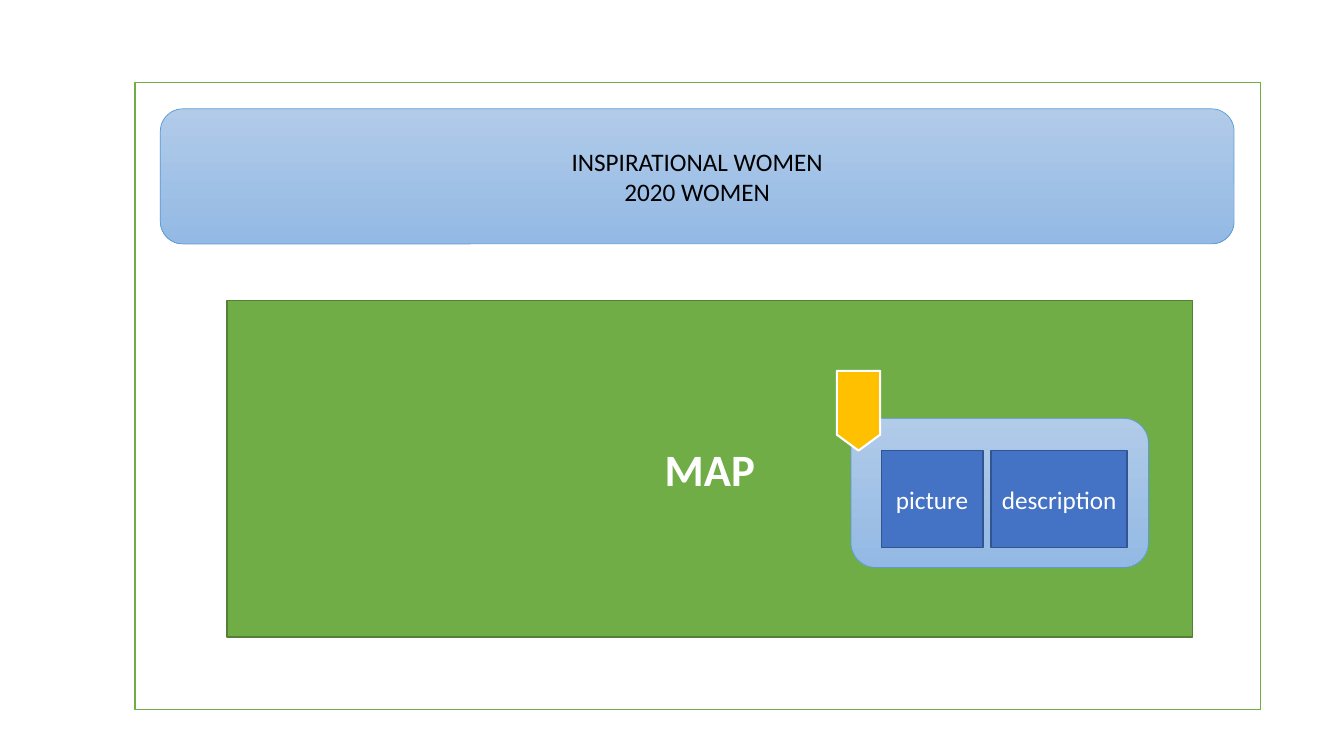
from pptx import Presentation
from pptx.dml.color import RGBColor
from pptx.enum.shapes import MSO_SHAPE as Shape
from pptx.enum.text import MSO_ANCHOR as Anchor, PP_ALIGN as Align
from pptx.util import Pt

EMU_PER_PX = 9144  # 100 px to the inch
SLIDE_SIZE = (1333, 750)
FONT = "Calibri"
COLORS = {
    "white": "FFFFFF", "black": "000000",
    "green": "70AD47", "dark green": "538035",
    "blue": "4472C4", "dark blue": "325491",
    "sky top": "B1CBE9", "sky bottom": "93B9E4", "sky edge": "5B9BD5",
    "gold": "FFC000",
}
SKY = ("sky top", "sky bottom")

TITLE_LINES = ["INSPIRATIONAL WOMEN", "2020 WOMEN"]
# Card parts: text, width
CARD_PARTS = [("picture", 101), ("description", 135)]
CARD_LEFT, CARD_TOP, CARD_HEIGHT, CARD_GAP = 874, 447, 96, 8

# Back to front: kind, (left, top, width, height), fill, line, line width, lines, text format
PANELS = [
    (Shape.RECTANGLE, (134, 82, 1116, 622), "white", "green", 1, [], {}),
    (Shape.ROUNDED_RECTANGLE, (159, 108, 1065, 134), SKY, "sky edge", 0.5,
     TITLE_LINES, {"color": "black"}),
    (Shape.RECTANGLE, (225, 298, 958, 334), "green", "dark green", 1,
     ["MAP"], {"size": 32, "bold": True}),
    (Shape.ROUNDED_RECTANGLE, (844, 415, 295, 148), SKY, "sky edge", 0.5, [], {}),
    (Shape.FLOWCHART_OFFPAGE_CONNECTOR, (830, 368, 43, 79), "gold", "white", 1.5, [], {}),
]


def px(length):
    return length * EMU_PER_PX


def rgb(name):
    return RGBColor.from_string(COLORS[name])


def write(shape, lines, size=18, color="white", bold=False):
    """Put centred lines of text in a shape."""
    frame = shape.text_frame
    frame.word_wrap = True
    frame.vertical_anchor = Anchor.MIDDLE
    for index, line in enumerate(lines):
        para = frame.add_paragraph() if index else frame.paragraphs[0]
        para.alignment = Align.CENTER
        span = para.add_run()
        span.text = line
        span.font.name = FONT
        span.font.size = Pt(size)
        span.font.bold = bold
        span.font.color.rgb = rgb(color)


def add_panel(page, kind, area, fill, line, line_width, lines, text_format):
    """Draw a shape; a pair of fill colours makes a gradient from top to bottom."""
    shape = page.shapes.add_shape(kind, *map(px, area))
    shape.shadow.inherit = False
    if isinstance(fill, tuple):
        shape.fill.gradient()
        shape.fill.gradient_angle = 270
        for stop, name in zip(shape.fill.gradient_stops, fill):
            stop.color.rgb = rgb(name)
    else:
        shape.fill.solid()
        shape.fill.fore_color.rgb = rgb(fill)
    shape.line.color.rgb = rgb(line)
    shape.line.width = Pt(line_width)
    if lines:
        write(shape, lines, **text_format)


def main():
    deck = Presentation()
    deck.slide_width, deck.slide_height = map(px, SLIDE_SIZE)
    page = deck.slides.add_slide(deck.slide_layouts[6])
    for panel in PANELS:
        add_panel(page, *panel)
    left = CARD_LEFT
    for text, width in CARD_PARTS:
        area = (left, CARD_TOP, width, CARD_HEIGHT)
        add_panel(page, Shape.RECTANGLE, area, "blue", "dark blue", 1, [text], {})
        left += width + CARD_GAP
    deck.save("out.pptx")


if __name__ == "__main__":
    main()
